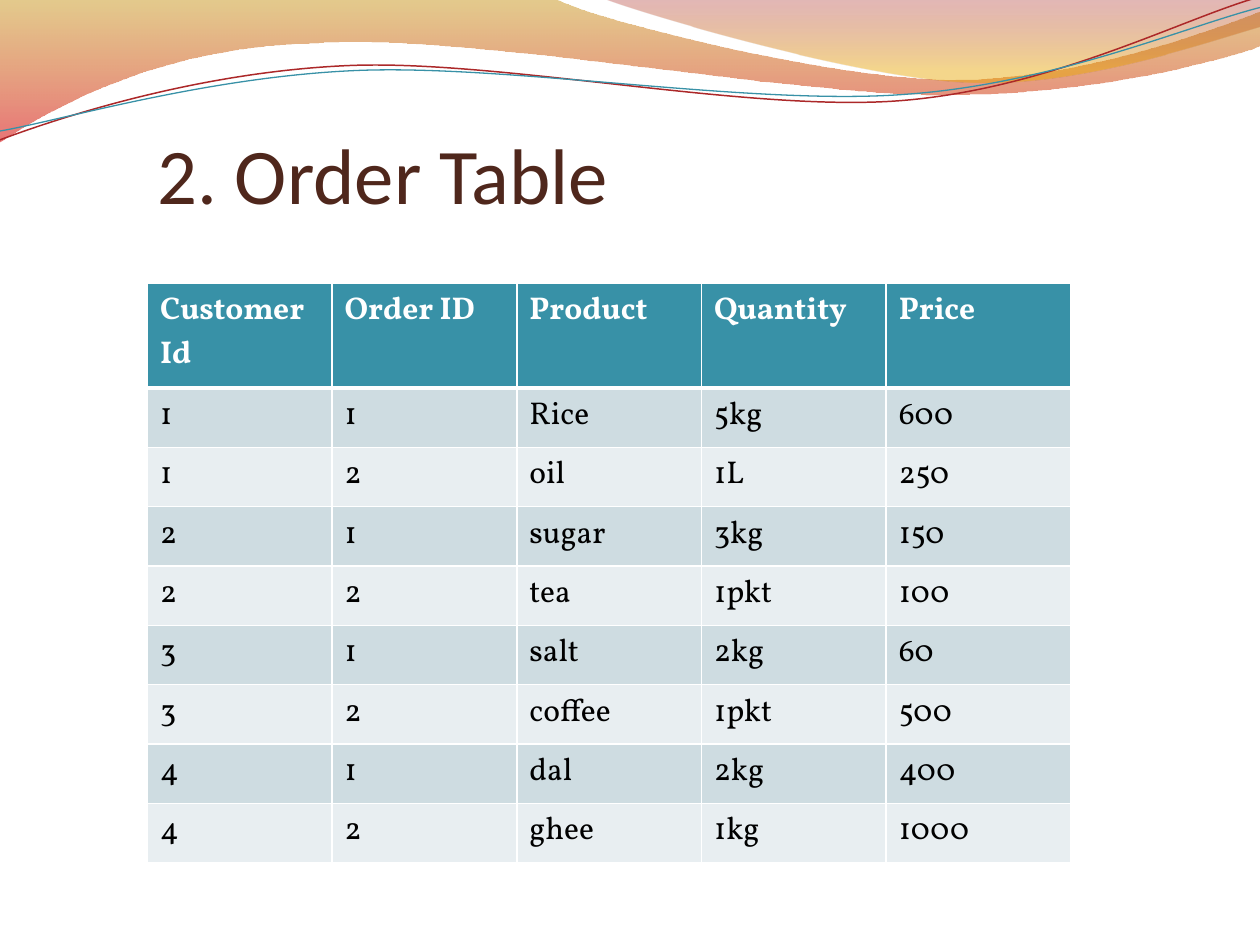
from math import cos, radians, sin

from lxml import etree
from pptx import Presentation
from pptx.dml.color import RGBColor
from pptx.enum.text import MSO_ANCHOR
from pptx.oxml.ns import qn
from pptx.util import Inches, Pt

WHITE = RGBColor(0xFF, 0xFF, 0xFF)
BLACK = RGBColor(0, 0, 0)
BROWN = RGBColor(0x4F, 0x27, 0x1C)
TEAL = RGBColor(0x38, 0x91, 0xA7)
RED = RGBColor(0xAC, 0x28, 0x29)
OCHRE = RGBColor(0xC3, 0x8B, 0x00)
SCARLET = RGBColor(0xD6, 0x03, 0x05)
MAROON = RGBColor(0xA1, 0x11, 0x12)
AMBER = RGBColor(0xE9, 0xA6, 0x00)
BANDS = [RGBColor(0xCE, 0xDC, 0xE1), RGBColor(0xE8, 0xEE, 0xF1)]

TITLE = "2. Order Table"
ORDERS = [
    ("Customer Id", "Order ID", "Product", "Quantity", "Price"),
    ("1", "1", "Rice", "5kg", "600"),
    ("1", "2", "oil", "1L", "250"),
    ("2", "1", "sugar", "3kg", "150"),
    ("2", "2", "tea", "1pkt", "100"),
    ("3", "1", "salt", "2kg", "60"),
    ("3", "2", "coffee", "1pkt", "500"),
    ("4", "1", "dal", "2kg", "400"),
    ("4", "2", "ghee", "1kg", "1000"),
]
TABLE_HEIGHT = 4.6
HEADER_HEIGHT = 0.83

WAVES = [
    ([[(0, 0)], [(4.4, -0.01)],
      [(4.76, 0.17), (6.64, 0.63), (7.58, 0.63)],
      [(8.53, 0.63), (9.58, 0.26), (10, 0.09)], [(10.01, 0.36)],
      [(9.83, 0.44), (8.7, 0.76), (7.46, 0.75)],
      [(6.22, 0.75), (3.82, 0.28), (2.57, 0.34)],
      [(1.29, 0.36), (0.46, 0.83), (-0.01, 1.13)]],
     [(0, OCHRE, 45), (1, SCARLET, 55)]),
    ([[(4.79, -0.01)],
      [(5.09, 0.11), (6.82, 0.62), (7.69, 0.65)],
      [(8.56, 0.69), (9.61, 0.32), (10, 0.21)], [(10, 0)]],
     [(0, MAROON, 30), (0.8, AMBER, 45)]),
]
RIBBON_TILT = -2.7
RIBBONS = [
    ([[(0, 1.11)],
      [(0.48, 0.93), (1.58, 0.57), (2.77, 0.52)],
      [(3.95, 0.47), (5.93, 0.89), (7.13, 0.8)],
      [(8.33, 0.71), (9.38, 0.15), (9.98, -0.02)]], (4.99, 0.58), RED, 0.85),
    ([[(0, 1.04)],
      [(0.47, 0.96), (1.64, 0.61), (2.83, 0.56)],
      [(4.03, 0.51), (5.97, 0.84), (7.17, 0.75)],
      [(8.36, 0.67), (9.41, 0.21), (10, 0.06)]], (5, 0.59), TEAL, 0.75),
]


def add_outline(slide, segments, close):
    start, *rest = [(Inches(x), Inches(y)) for segment in segments for x, y in segment]
    builder = slide.shapes.build_freeform(*start)
    builder.add_line_segments(rest, close=close)
    outline = builder.convert_to_shape()
    outline.shadow.inherit = False
    steps = iter(list(outline.element.spPr.iter(qn("a:lnTo"))))
    for segment in segments[1:]:
        first, *others = [next(steps) for _ in segment]
        if others:
            first.tag = qn("a:cubicBezTo")
        for step in others:
            first.append(step[0])
            step.getparent().remove(step)
    return outline


def add_wave(slide, segments, stops):
    wave = add_outline(slide, segments, True)
    wave.line.fill.background()
    wave.fill.gradient()
    wave.fill.gradient_angle = 270
    for stop, (position, color, _) in zip(wave.fill.gradient_stops, stops):
        stop.position = position
        stop.color.rgb = color
    colors = wave.element.spPr.iter(qn("a:srgbClr"))
    for color, (_, _, opacity) in zip(colors, stops):
        etree.SubElement(color, qn("a:alpha"), val=str(opacity * 1000))


def turn(point, center, degrees):
    angle = radians(degrees)
    dx, dy = point[0] - center[0], point[1] - center[1]
    return (center[0] + dx * cos(angle) - dy * sin(angle),
            center[1] + dx * sin(angle) + dy * cos(angle))


def add_ribbon(slide, segments, center, color, width):
    level = [[turn(point, center, -RIBBON_TILT) for point in segment] for segment in segments]
    ribbon = add_outline(slide, level, False)
    ribbon.rotation = RIBBON_TILT
    ribbon.fill.background()
    ribbon.line.color.rgb = color
    ribbon.line.width = Pt(width)


def add_title(slide):
    frame = slide.shapes.add_textbox(Inches(1.25), Inches(0.5), Inches(8.2), Inches(1.25)).text_frame
    frame.word_wrap = True
    frame.vertical_anchor = MSO_ANCHOR.BOTTOM
    frame.margin_left = frame.margin_right = frame.margin_bottom = 0
    frame.margin_top = Inches(0.05)
    frame.text = TITLE
    font = frame.paragraphs[0].font
    font.name, font.size, font.color.rgb = "Calibri", Pt(45), BROWN


def set_borders(cell, widths):
    properties = cell._tc.get_or_add_tcPr()
    for index, (side, width) in enumerate(widths.items()):
        border = etree.Element(qn(f"a:ln{side}"), w=str(Pt(width)))
        fill = etree.SubElement(border, qn("a:solidFill"))
        etree.SubElement(fill, qn("a:srgbClr"), val=str(WHITE))
        properties.insert(index, border)


def add_orders(slide):
    orders = slide.shapes.add_table(len(ORDERS), len(ORDERS[0]), Inches(1.17), Inches(2.25),
                                    Inches(7.33), Inches(TABLE_HEIGHT)).table
    order_height = (TABLE_HEIGHT - HEADER_HEIGHT) / (len(ORDERS) - 1)
    for row, values in enumerate(ORDERS):
        header = row == 0
        orders.rows[row].height = Inches(HEADER_HEIGHT if header else order_height)
        for column, value in enumerate(values):
            cell = orders.cell(row, column)
            cell.text = value
            cell.fill.solid()
            cell.fill.fore_color.rgb = TEAL if header else BANDS[(row - 1) % 2]
            font = cell.text_frame.paragraphs[0].font
            font.name, font.size, font.bold = "Vollkorn", Pt(18), header
            font.color.rgb = WHITE if header else BLACK
            set_borders(cell, {"L": 1, "R": 1, "T": 3 if row == 1 else 1, "B": 3 if header else 1})


def main():
    deck = Presentation()
    deck.slide_width, deck.slide_height = Inches(10), Inches(7.5)
    slide = deck.slides.add_slide(deck.slide_layouts[6])
    for segments, stops in WAVES:
        add_wave(slide, segments, stops)
    for segments, center, color, width in RIBBONS:
        add_ribbon(slide, segments, center, color, width)
    add_title(slide)
    add_orders(slide)
    deck.save("out.pptx")


if __name__ == "__main__":
    main()
